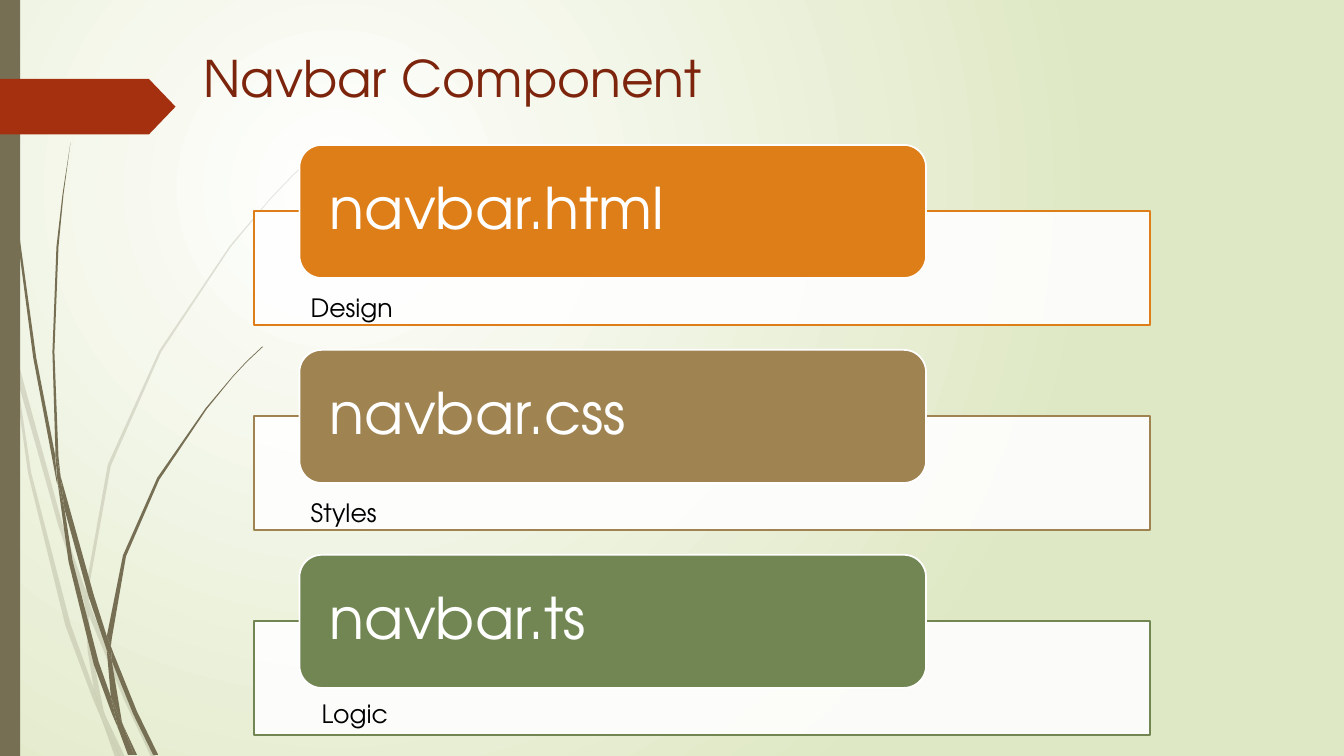
from lxml.etree import SubElement
from pptx import Presentation
from pptx.dml.color import RGBColor
from pptx.enum.shapes import MSO_SHAPE as Preset
from pptx.enum.text import MSO_ANCHOR as Anchor
from pptx.oxml.ns import qn
from pptx.util import Inches, Pt

# Grid of square cells: 160 columns by 90 rows
CELL = Inches(13.333) / 160
FONT = "TeX Gyre Adventor"
TAUPE, RUST, BROWN = "766F54", "A53010", "7C240C"
WHITE, BLACK, PALE_GREEN = "FFFFFF", "000000", "DFE8C4"

# File, role, accent colour, shift of the role label in cells
CARDS = [
    ("navbar.html", "Design", "DE7E18", (0, 0)),
    ("navbar.css", "Styles", "9F8351", (0, 0)),
    ("navbar.ts", "Logic", "728653", (1.3, -0.4)),
]
CARD_PITCH = 24.4

# Outlines of the grass, in hundredths of an inch
GRASS_UNIT = Inches(0.01)
PALE_GRASS = [
    [(11, 350), (9, 322), (0, 282), (0, 299), (10, 344)],
    [(58, 522), (84, 599), (85, 586), (62, 520), (14, 345), (17, 376)],
    [(92, 607), (88, 596), (88, 610), (123, 694), (150, 751), (155, 751),
     (127, 692)],
    [(119, 751), (124, 751), (105, 711)],
    [(93, 683), (70, 619), (31, 469), (17, 376), (11, 350), (28, 470),
     (65, 621), (92, 693), (101, 714), (99, 707)],
    [(84, 599), (87, 646), (93, 683), (96, 692), (105, 711), (103, 706),
     (91, 646), (88, 610), (88, 608)],
    [(88, 584), (110, 462), (160, 349), (229, 245), (268, 198), (290, 175),
     (312, 154), (312, 153), (289, 175), (268, 197), (228, 244), (158, 348),
     (107, 461), (85, 584), (85, 586), (88, 596)],
    [(101, 714), (114, 751), (119, 751)],
    [(88, 608), (88, 610), (88, 596), (85, 586), (84, 599)],
    [(96, 692), (93, 683), (99, 707), (101, 714), (119, 751), (105, 711)],
]
DARK_GRASS = [
    [(7, 110), (17, 233), (33, 355), (56, 477), (57, 481), (55, 457),
     (55, 453), (36, 355), (19, 232), (8, 109), (5, 48), (4, 0), (3, 0),
     (4, 48)],
    [(88, 592), (106, 645), (106, 633), (106, 631), (93, 590), (60, 472),
     (64, 505)],
    [(113, 649), (110, 641), (111, 656), (132, 708), (152, 749), (157, 749),
     (136, 706)],
    [(110, 691), (98, 657), (72, 556), (64, 505), (57, 477), (68, 557),
     (93, 659), (111, 708), (117, 722), (116, 717)],
    [(60, 472), (58, 453), (54, 349), (58, 245), (63, 193), (70, 141),
     (62, 193), (56, 245), (52, 349), (55, 449)],
    [(133, 749), (136, 749), (122, 719)],
    [(57, 477), (64, 505), (60, 472), (55, 449), (55, 453)],
    [(111, 633), (125, 552), (158, 476), (205, 406), (231, 374), (245, 359),
     (261, 344), (260, 344), (245, 358), (231, 373), (204, 405), (156, 474),
     (122, 551), (106, 631), (110, 641)],
    [(117, 722), (127, 749), (131, 749)],
    [(106, 645), (110, 691), (116, 706), (122, 719), (121, 716), (111, 656),
     (109, 651)],
    [(106, 645), (109, 651), (111, 656), (110, 641), (106, 631), (106, 633)],
    [(116, 706), (110, 691), (116, 717), (117, 722), (130, 749), (133, 749),
     (122, 719)],
]


def cells(*lengths):
    return [round(length * CELL) for length in lengths]


def color(hex_string):
    return RGBColor.from_string(hex_string)


def paint(shape, fill, line=None, opacity=100):
    shape.shadow.inherit = False
    shape.fill.solid()
    shape.fill.fore_color.rgb = color(fill)
    if opacity < 100:
        solid = shape.fill._xPr.find(qn("a:solidFill"))
        SubElement(solid[0], qn("a:alpha"), val=str(opacity * 1000))
    if line:
        shape.line.color.rgb = color(line)
        shape.line.width = Pt(1.25)
    else:
        shape.line.fill.background()


def add_preset(slide, preset, box, fill, line=None, opacity=100):
    shape = slide.shapes.add_shape(preset, *cells(*box))
    paint(shape, fill, line, opacity)
    return shape


def add_text(slide, box, text, size, text_color):
    frame = slide.shapes.add_textbox(*cells(*box)).text_frame
    frame.word_wrap = True
    run = frame.paragraphs[0].add_run()
    run.text = text
    run.font.name = FONT
    run.font.size = Pt(size)
    run.font.color.rgb = color(text_color)
    return frame


def add_grass(slide, outlines, opacity):
    for start, *others in outlines:
        builder = slide.shapes.build_freeform(*start, scale=GRASS_UNIT)
        builder.add_line_segments(others, close=True)
        paint(builder.convert_to_shape(), TAUPE, opacity=opacity)


def add_background(slide):
    fill = slide.background.fill
    fill.gradient()
    for stop, shade in zip(fill.gradient_stops, (WHITE, PALE_GREEN)):
        stop.color.rgb = color(shade)
    gradient = fill._fill._gradFill
    gradient.remove(gradient.find(qn("a:lin")))
    circle = SubElement(gradient, qn("a:path"))
    circle.set("path", "circle")
    SubElement(circle, qn("a:fillToRect"),
               l="50000", t="50000", r="100000", b="100000")


def add_card(slide, row, file_name, accent):
    top = 17.25 + row * CARD_PITCH
    add_preset(slide, Preset.RECTANGLE, (30.2, top + 7.9, 106.7, 13.55),
               WHITE, accent, opacity=90)
    add_preset(slide, Preset.ROUNDED_RECTANGLE, (35.65, top, 74.6, 15.85),
               accent, WHITE)
    frame = add_text(slide, (36.4, top + 0.75, 73.1, 14.3),
                     file_name, 41, WHITE)
    frame.vertical_anchor = Anchor.MIDDLE
    frame.margin_left = frame.margin_right = Inches(0.24)
    frame.margin_top = frame.margin_bottom = 0
    frame.paragraphs[0].line_spacing = 0.9


def main():
    presentation = Presentation()
    presentation.slide_width, presentation.slide_height = cells(160, 90)
    slide = presentation.slides.add_slide(presentation.slide_layouts[6])
    add_background(slide)

    # Grass, side bar and arrow
    add_grass(slide, PALE_GRASS, 20)
    add_grass(slide, DARK_GRASS, 100)
    add_preset(slide, Preset.RECTANGLE, (0, 0, 2.4, 90), TAUPE)
    arrow = add_preset(slide, Preset.PENTAGON, (0, 9.4, 20.9, 6.6), RUST)
    arrow.adjustments[0] = 0.48

    # Title
    add_text(slide, (23, 5, 117, 16.8), "Navbar Component", 36, BROWN)

    # Cards, then the role labels on top
    for row, (file_name, _, accent, _) in enumerate(CARDS):
        add_card(slide, row, file_name, accent)
    for row, (_, role, _, (dx, dy)) in enumerate(CARDS):
        add_text(slide, (35.8 + dx, 34.2 + row * CARD_PITCH + dy, 13.7, 4.8),
                 role, 18, BLACK)

    presentation.save("out.pptx")


if __name__ == "__main__":
    main()
